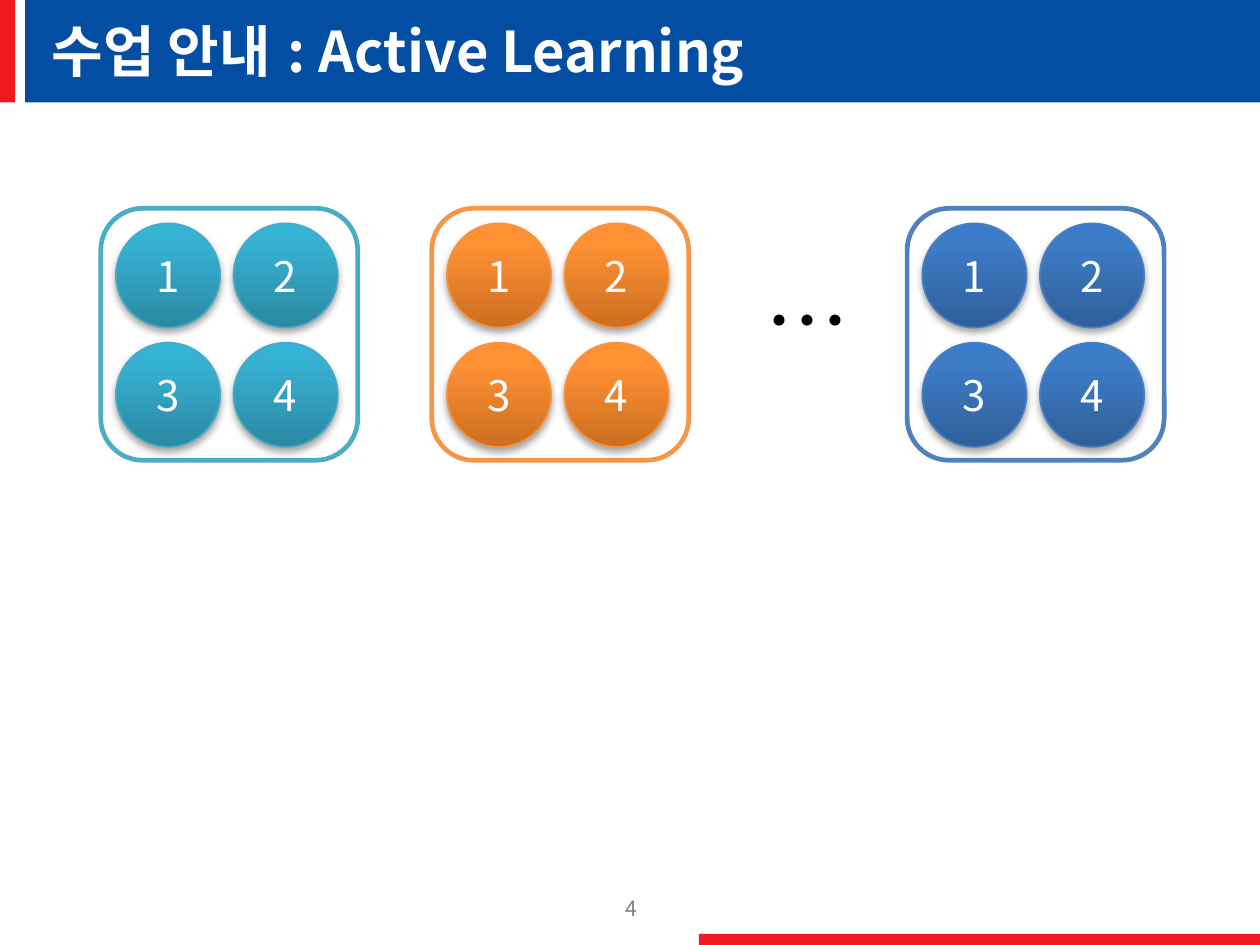
import pptx
import pptx.dml.color
import pptx.enum.shapes
import pptx.enum.text
import pptx.oxml
import pptx.oxml.ns
import pptx.util

Inches = pptx.util.Inches
RGBColor = pptx.dml.color.RGBColor
MSO_SHAPE = pptx.enum.shapes.MSO_SHAPE
ALIGN = pptx.enum.text.PP_ALIGN
ANCHOR = pptx.enum.text.MSO_ANCHOR
AUTO_SIZE = pptx.enum.text.MSO_AUTO_SIZE

SLIDE_WIDTH = 7.5
SLIDE_HEIGHT = SLIDE_WIDTH * 3 / 4
FONT = "Noto Sans CJK KR"
WHITE = RGBColor(0xFF, 0xFF, 0xFF)
BLACK = RGBColor(0, 0, 0)
GRAY = RGBColor(0x80, 0x80, 0x80)
BLUE = RGBColor(0x03, 0x4E, 0xA2)
RED = RGBColor(0xF0, 0x19, 0x1E)

BARS = [
    (0.15, -0.01, 7.36, 0.62, BLUE),
    (4.16, 5.56, 3.34, 0.07, RED),
    (0, -0.01, 0.09, 0.62, RED),
]

# Left edge, frame line, circle line, gradient from bottom to top
GROUPS = [
    (0.6, RGBColor(0x4B, 0xAC, 0xC6), RGBColor(0x46, 0xAA, 0xC5),
     (RGBColor(0x2A, 0x88, 0xA2), RGBColor(0x37, 0xB1, 0xD2), RGBColor(0x34, 0xB4, 0xD6))),
    (2.57, RGBColor(0xF7, 0x96, 0x46), RGBColor(0xF6, 0x92, 0x40),
     (RGBColor(0xCC, 0x6E, 0x20), RGBColor(0xFF, 0x90, 0x34), RGBColor(0xFF, 0x91, 0x36))),
    (5.4, RGBColor(0x4F, 0x81, 0xBD), RGBColor(0x4B, 0x7E, 0xBC),
     (RGBColor(0x2F, 0x5F, 0x99), RGBColor(0x3D, 0x7C, 0xC7), RGBColor(0x3A, 0x7C, 0xCB))),
]
GRADIENT_POSITIONS = (0, 80, 100)
GROUP_TOP = 1.24
CIRCLE_SIZE = 0.62
CIRCLE_MARGIN = 0.09
COLUMN_STEP = 0.7
ROW_STEP = 0.71


def add_shape(slide, kind, left, top, width, height, fill=None, line=None, line_width=0):
    shape = slide.shapes.add_shape(
        kind, Inches(left), Inches(top), Inches(width), Inches(height))
    shape.shadow.inherit = False
    if fill is not None:
        shape.fill.solid()
        shape.fill.fore_color.rgb = fill
    if line is None:
        shape.line.fill.background()
    else:
        shape.line.color.rgb = line
        shape.line.width = pptx.util.Pt(line_width)
    return shape


def add_run(paragraph, text, color, size, bold=False):
    run = paragraph.add_run()
    run.text = text
    formats = {"name": FONT, "size": pptx.util.Pt(size), "bold": bold}
    for name, value in formats.items():
        setattr(run.font, name, value)
    run.font.color.rgb = color
    east_asian = pptx.oxml.parse_xml(
        f'<a:ea {pptx.oxml.ns.nsdecls("a")} typeface="{FONT}"/>')
    run.font._element.find(pptx.oxml.ns.qn("a:latin")).addnext(east_asian)
    return run


def add_text_box(slide, left, top, width, height, **frame_formats):
    """Add an empty text box and return its first paragraph."""
    box = slide.shapes.add_textbox(
        Inches(left), Inches(top), Inches(width), Inches(height))
    for name, value in ({"word_wrap": True} | frame_formats).items():
        setattr(box.text_frame, name, value)
    return box.text_frame.paragraphs[0]


def set_gradient(shape, colors):
    stops = "".join(
        f'<a:gs pos="{position * 1000}"><a:srgbClr val="{color}"/></a:gs>'
        for position, color in zip(GRADIENT_POSITIONS, colors))
    gradient = pptx.oxml.parse_xml(
        f'<a:gradFill {pptx.oxml.ns.nsdecls("a")} rotWithShape="1">'
        f'<a:gsLst>{stops}</a:gsLst><a:lin ang="16200000" scaled="0"/></a:gradFill>')
    geometry = shape._element.spPr.find(pptx.oxml.ns.qn("a:prstGeom"))
    geometry.addnext(gradient)


def set_drop_shadow(shape):
    shadow = pptx.oxml.parse_xml(
        f'<a:outerShdw {pptx.oxml.ns.nsdecls("a")} blurRad="{pptx.util.Pt(3.1)}" '
        f'dist="{pptx.util.Pt(1.8)}" dir="5400000" rotWithShape="0">'
        '<a:srgbClr val="000000"><a:alpha val="35000"/></a:srgbClr></a:outerShdw>')
    shape._element.spPr.find(pptx.oxml.ns.qn("a:effectLst")).append(shadow)


def add_circle(slide, left, top, number, line, colors):
    circle = add_shape(slide, MSO_SHAPE.OVAL, left, top, CIRCLE_SIZE, CIRCLE_SIZE,
                       line=line, line_width=0.75)
    set_gradient(circle, colors)
    set_drop_shadow(circle)
    circle.text_frame.vertical_anchor = ANCHOR.MIDDLE
    paragraph = circle.text_frame.paragraphs[0]
    paragraph.alignment = ALIGN.CENTER
    add_run(paragraph, str(number), WHITE, 18)


def add_group(slide, left, frame_line, circle_line, colors):
    """Add a rounded frame holding a two-by-two grid of numbered circles."""
    add_shape(slide, MSO_SHAPE.ROUNDED_RECTANGLE, left, GROUP_TOP, 1.53, 1.5,
              WHITE, frame_line, 2)
    for index in range(4):
        row, column = divmod(index, 2)
        add_circle(slide, left + CIRCLE_MARGIN + column * COLUMN_STEP,
                   GROUP_TOP + CIRCLE_MARGIN + row * ROW_STEP,
                   index + 1, circle_line, colors)


def add_title(slide):
    title = add_text_box(slide, 0.21, -0.01, 7.21, 0.62, vertical_anchor=ANCHOR.MIDDLE)
    add_run(title, "수업 안내", WHITE, 24, True)
    wide_space = add_run(title, " ", WHITE, 24, True)
    wide_space.font._element.set("spc", "200")
    add_run(title, ": Active Learning", WHITE, 24, True)


def main():
    presentation = pptx.Presentation()
    presentation.slide_width = Inches(SLIDE_WIDTH)
    presentation.slide_height = Inches(SLIDE_HEIGHT)
    slide = presentation.slides.add_slide(presentation.slide_layouts[6])

    for left, top, width, height, color in BARS:
        add_shape(slide, MSO_SHAPE.RECTANGLE, left, top, width, height, color)
    page_number = add_text_box(slide, 3.4, 5.28, 0.72, 0.25,
                               auto_size=AUTO_SIZE.SHAPE_TO_FIT_TEXT)
    page_number.alignment = ALIGN.CENTER
    add_run(page_number, "4", GRAY, 9)
    add_title(slide)

    for group in GROUPS:
        add_group(slide, *group)
    ellipsis = add_text_box(slide, 4.46, 1.55, 0.58, 0.71, word_wrap=False,
                            auto_size=AUTO_SIZE.SHAPE_TO_FIT_TEXT)
    add_run(ellipsis, "…", BLACK, 36)

    presentation.save("out.pptx")


if __name__ == "__main__":
    main()
